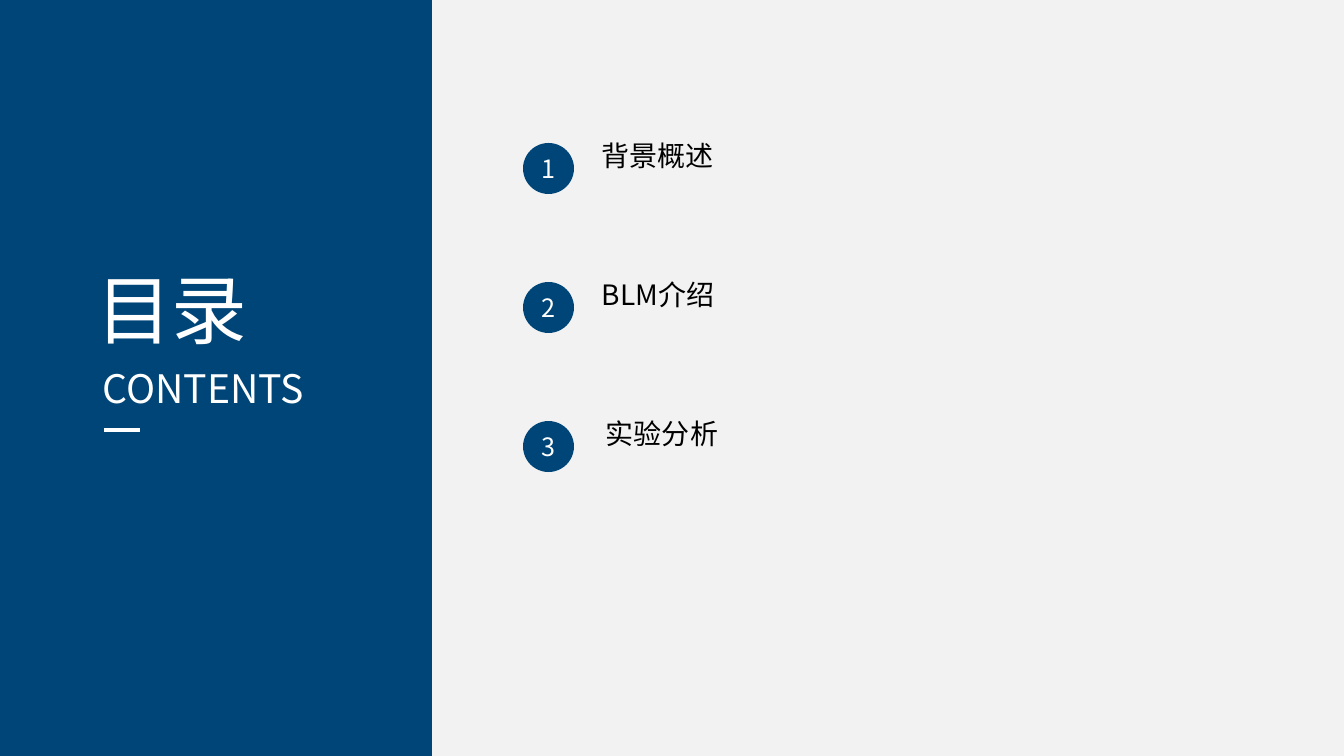
import pptx
import pptx.dml.color
import pptx.enum.shapes
import pptx.enum.text
import pptx.oxml.ns
import pptx.util
from dataclasses import dataclass
from lxml import etree

ALIGN = pptx.enum.text.PP_ALIGN
ANCHOR = pptx.enum.text.MSO_ANCHOR
SHAPE = pptx.enum.shapes.MSO_SHAPE
qn = pptx.oxml.ns.qn


@dataclass(frozen=True)
class Theme:
    font: str = "Noto Sans CJK SC"
    navy: str = "004578"
    pale: str = "F2F2F2"
    white: str = "FFFFFF"
    black: str = "000000"
    title: int = 54
    sub: int = 28
    label: int = 20
    badge: int = 18
    rule: float = 2.25


def px(count):
    """Turn px into EMU at 100.8 px to the inch."""
    return pptx.util.Emu(round(count * 914400 / 100.8))


def rgb(color):
    return pptx.dml.color.RGBColor.from_string(color)


class Page:
    def __init__(self, deck, theme):
        self.theme = theme
        self.slide = deck.slides.add_slide(deck.slide_layouts[5])
        self.shapes = self.slide.shapes
        back = self.slide.background.fill
        back.solid()
        back.fore_color.rgb = rgb(theme.pale)

    def letter(self, shape, text, size, color, align, anchor=ANCHOR.TOP):
        frame = shape.text_frame
        frame.word_wrap = True
        frame.auto_size = pptx.enum.text.MSO_AUTO_SIZE.NONE
        frame.vertical_anchor = anchor
        para = frame.paragraphs[0]
        para.alignment = align
        para.line_spacing = 1.0
        run = para.add_run()
        run.text = text
        run.font.size = pptx.util.Pt(size)
        run.font.name = self.theme.font
        run.font.color.rgb = rgb(color)
        # East Asian glyphs take their own font
        east = etree.SubElement(run.font._element, qn("a:ea"))
        east.set("typeface", self.theme.font)

    def title(self, text, left, top, width, height):
        shape = self.shapes.title
        shape.left, shape.top = px(left), px(top)
        shape.width, shape.height = px(width), px(height)
        self.letter(shape, text, self.theme.title, self.theme.white, ALIGN.JUSTIFY)
        # Bring the title in front of the panel
        self.shapes._spTree.append(shape._element)

    def text(self, text, left, top, width, height, size, color, align=ALIGN.LEFT):
        box = self.shapes.add_textbox(px(left), px(top), px(width), px(height))
        self.letter(box, text, size, color, align)

    def shape(self, kind, left, top, width, height):
        shape = self.shapes.add_shape(kind, px(left), px(top), px(width), px(height))
        shape.shadow.inherit = False
        shape.fill.solid()
        shape.fill.fore_color.rgb = rgb(self.theme.navy)
        shape.line.fill.background()
        return shape

    def badge(self, text, left, top, side):
        disc = self.shape(SHAPE.OVAL, left, top, side, side)
        frame = disc.text_frame
        frame.margin_left = frame.margin_right = 0
        frame.margin_top = frame.margin_bottom = 0
        self.letter(disc, text, self.theme.badge, self.theme.white,
                    ALIGN.CENTER, ANCHOR.MIDDLE)

    def line(self, left, top, right):
        line = self.shapes.add_connector(
            pptx.enum.shapes.MSO_CONNECTOR.STRAIGHT,
            px(left), px(top), px(right), px(top))
        line.line.color.rgb = rgb(self.theme.white)
        line.line.width = pptx.util.Pt(self.theme.rule)
        etree.SubElement(line._element.spPr, qn("a:effectLst"))


def main():
    deck = pptx.Presentation()
    deck.slide_width, deck.slide_height = px(1344), px(756)
    theme = Theme()
    page = Page(deck, theme)

    # Left panel with the heading
    page.shape(SHAPE.RECTANGLE, 0, 0, 432, 756)
    page.title("目录", 86, 258, 179, 102)
    page.text("CONTENTS", 93, 359, 247, 57, theme.sub, theme.white, ALIGN.JUSTIFY)
    page.line(104, 430, 140)

    # Numbered list of parts: label, left edge, width
    parts = [("背景概述", 592, 319), ("BLM介绍", 592, 292), ("实验分析", 596, 376)]
    first, step = 143, 139
    for index, (label, left, width) in enumerate(parts):
        top = first + index * step
        page.badge(str(index + 1), 523, top, 51)
        page.text(label, left, top - 9, width, 44, theme.label, theme.black)

    deck.save("out.pptx")


if __name__ == "__main__":
    main()
